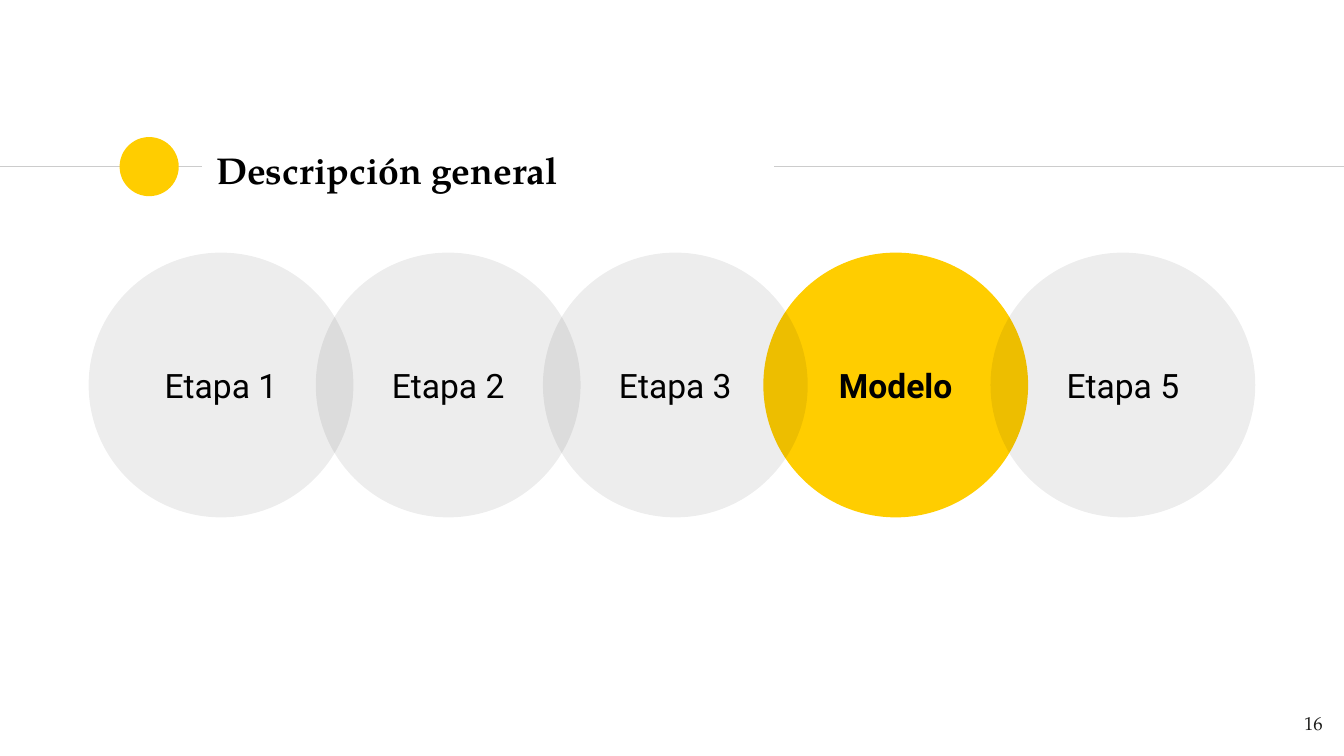
from lxml import etree
from pptx import Presentation
from pptx.dml.color import RGBColor
from pptx.enum.shapes import MSO_CONNECTOR, MSO_SHAPE
from pptx.enum.text import MSO_ANCHOR, PP_ALIGN
from pptx.oxml.ns import qn
from pptx.util import Inches, Pt

OVAL, STRAIGHT = MSO_SHAPE.OVAL, MSO_CONNECTOR.STRAIGHT
TOP, MIDDLE = MSO_ANCHOR.TOP, MSO_ANCHOR.MIDDLE
LEFT, CENTER, RIGHT = PP_ALIGN.LEFT, PP_ALIGN.CENTER, PP_ALIGN.RIGHT

# Content
TITLE = "Descripción general"
PAGE_NUMBER = "16"
STAGES = ["Etapa 1", "Etapa 2", "Etapa 3", "Modelo", "Etapa 5"]
CURRENT = STAGES.index("Modelo")

# Style
COLORS = {"accent": "FFCD00", "rule": "CCCCCC", "text": "000000", "number": "1D1D1B"}
SERIF, SANS = "TeX Gyre Pagella", "Roboto"
STAGE_ALPHA = 7  # percent

# Layout in inches, on a 16:9 slide
WIDTH = 10
HEIGHT = WIDTH * 9 / 16
RULE_Y = 1.24
RULES = [(0, 1.5), (5.76, WIDTH)]
DOT = 0.44
STAGE_LEFT, STAGE_TOP, STAGE_SIZE, STAGE_STEP = 0.66, 1.88, 1.97, 1.69
CURRENT_SHIFT = 0.05  # the row moves left from the current stage on
INSET = 0.1


def color(key):
    return RGBColor.from_string(COLORS[key])


def write(shape, text, size, font, key="text", bold=False, align=LEFT, anchor=TOP):
    frame = shape.text_frame
    frame.word_wrap = True
    frame.vertical_anchor = anchor
    frame.margin_left = frame.margin_right = Inches(INSET)
    frame.margin_top = frame.margin_bottom = Inches(INSET)
    paragraph = frame.paragraphs[0]
    paragraph.alignment = align
    run = paragraph.add_run()
    run.text = text
    run.font.size, run.font.name, run.font.bold = Pt(size), font, bold
    run.font.color.rgb = color(key)


def add_circle(slide, left, top, size, key, alpha=None):
    circle = slide.shapes.add_shape(OVAL, *map(Inches, (left, top, size, size)))
    circle.shadow.inherit = False
    circle.line.fill.background()
    circle.fill.solid()
    circle.fill.fore_color.rgb = color(key)
    if alpha is not None:
        tint = circle.fill._xPr.find(".//" + qn("a:srgbClr"))
        etree.SubElement(tint, qn("a:alpha"), val=str(alpha * 1000))
    return circle


def add_textbox(slide, *box):
    return slide.shapes.add_textbox(*map(Inches, box))


def add_rule(slide, start, end):
    rule = slide.shapes.add_connector(
        STRAIGHT, *map(Inches, (start, RULE_Y, end, RULE_Y)))
    rule.line.color.rgb = color("rule")
    rule.line.width = Pt(0.75)
    etree.SubElement(rule._element.spPr, qn("a:effectLst"))


def main():
    deck = Presentation()
    deck.slide_width, deck.slide_height = Inches(WIDTH), Inches(HEIGHT)
    slide = deck.slides.add_slide(deck.slide_layouts[6])

    # Heading: rules, dot and title
    for start, end in RULES:
        add_rule(slide, start, end)
    add_circle(slide, 0.89, RULE_Y - DOT / 2, DOT, "accent")
    write(add_textbox(slide, 1.51, 1.02, 4.24, 0.48), TITLE, 20, SERIF,
          bold=True, anchor=MIDDLE)

    # Page number
    write(add_textbox(slide, 9.34, 5.21, 0.6, 0.41), PAGE_NUMBER, 10, SERIF,
          key="number", align=RIGHT)

    # Stages: the solid current one goes beneath its translucent neighbours
    order = sorted(range(len(STAGES)), key=lambda index: index != CURRENT)
    for index in order:
        current = index == CURRENT
        left = STAGE_LEFT + index * STAGE_STEP
        if index >= CURRENT:
            left -= CURRENT_SHIFT
        stage = add_circle(slide, left, STAGE_TOP, STAGE_SIZE,
                           "accent" if current else "text",
                           None if current else STAGE_ALPHA)
        write(stage, STAGES[index], 18, SANS, bold=current,
              align=CENTER, anchor=MIDDLE)

    deck.save("out.pptx")


if __name__ == "__main__":
    main()
